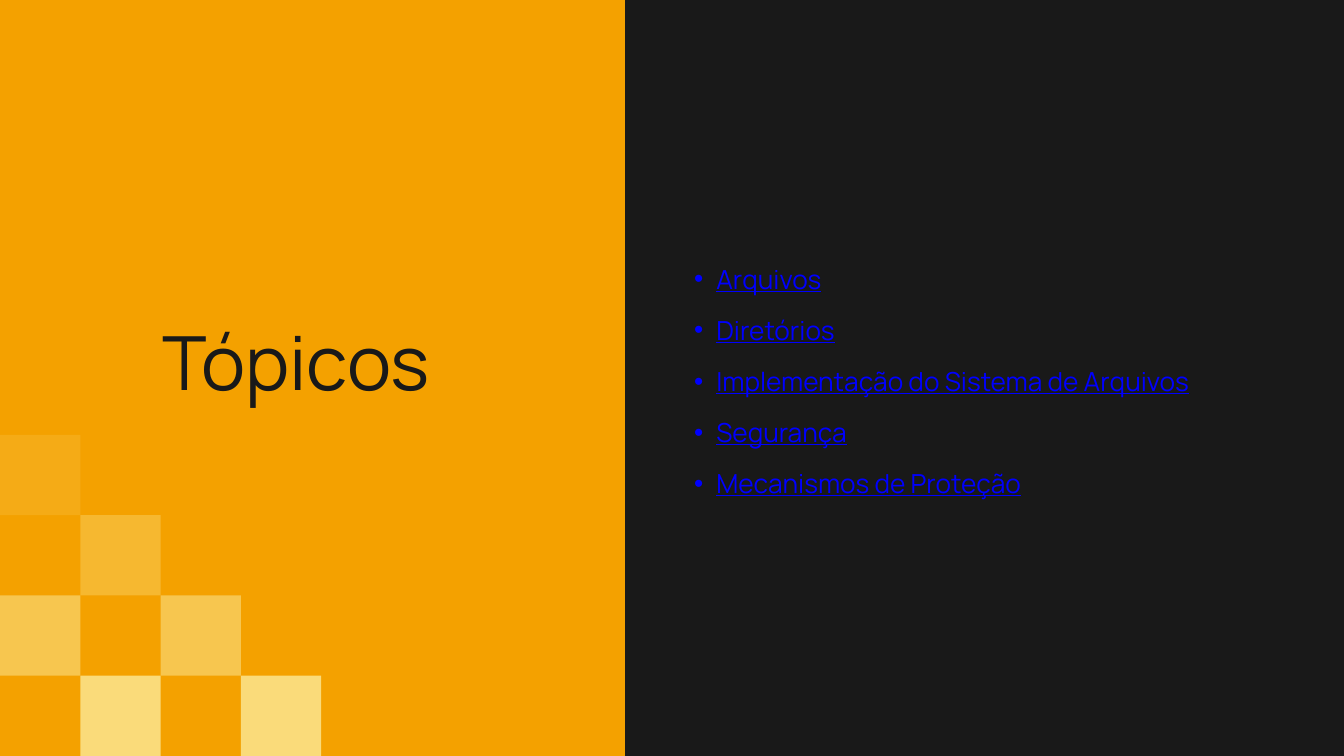
from lxml import etree
from pptx import Presentation
from pptx import util as u
from pptx.dml.color import RGBColor
from pptx.enum import shapes, text
from pptx.oxml import ns

THEME = {
    "dark": RGBColor.from_string("191919"),
    "amber": RGBColor.from_string("F4A100"),
    "pale": RGBColor.from_string("FADB7A"),
    "link": RGBColor.from_string("0000FF"),
    "font": "Manrope",
    "title": u.Pt(80),
    "item": u.Pt(28.1),
}
WIDE, HIGH, PANEL = 20, 11.25, 9.3


def block(left, top, width, height, color, alpha=100):
    """Add a plain rectangle, with its opacity in percent."""
    rect = slide.shapes.add_shape(
        shapes.MSO_SHAPE.RECTANGLE,
        u.Inches(left), u.Inches(top), u.Inches(width), u.Inches(height))
    rect.shadow.inherit = False
    rect.line.fill.background()
    rect.fill.solid()
    rect.fill.fore_color.rgb = color
    if alpha < 100:
        tint = rect.fill._xPr.find(".//" + ns.qn("a:srgbClr"))
        etree.SubElement(tint, ns.qn("a:alpha"), val=str(alpha * 1000))


def style(box, size, color, lead):
    """Set the frame and type of a text box."""
    frame = box.text_frame
    frame.margin_left = frame.margin_right = 0
    frame.margin_top = frame.margin_bottom = 0
    frame.word_wrap = True
    frame.auto_size = text.MSO_AUTO_SIZE.SHAPE_TO_FIT_TEXT
    frame.vertical_anchor = text.MSO_ANCHOR.TOP
    for para in frame.paragraphs:
        para.line_spacing = u.Pt(lead)
        for run in para.runs:
            run.font.name = THEME["font"]
            run.font.size = size
            run.font.color.rgb = color


# Slide and background
prs = Presentation()
prs.slide_width, prs.slide_height = u.Inches(WIDE), u.Inches(HIGH)
slide = prs.slides.add_slide(prs.slide_layouts[5])
slide.background.fill.solid()
slide.background.fill.fore_color.rgb = THEME["dark"]

# Left panel
block(0, 0, PANEL, HIGH, THEME["amber"])

# Checkered stairs, fading upwards
cell = 4.78 / 4
for row, alpha in enumerate([19, 40, 65, 100]):
    for col in range(row % 2, row + 1, 2):
        block(col * cell, HIGH - (4 - row) * cell, cell, cell,
              THEME["pale"], alpha)

# Title, brought in front of the panel
title = slide.shapes.title
title.element.getparent().append(title.element)
title.left, title.top = u.Inches(2.18), u.Inches(4.7)
title.width, title.height = u.Inches(4.46), u.Inches(1.43)
title.text_frame.text = "Tópicos"
style(title, THEME["title"], THEME["dark"], 96)
title.text_frame.paragraphs[0].alignment = text.PP_ALIGN.CENTER

# Topic list
topics = ["Arquivos", "Diretórios", "Implementação do Sistema de Arquivos",
          "Segurança", "Mecanismos de Proteção"]
items = slide.shapes.add_textbox(
    u.Inches(10), u.Inches(3.62), u.Inches(8.63), u.Inches(3.76))
items.text_frame.text = "\n".join(topics)
for para in items.text_frame.paragraphs:
    para.level = 1
    props = para._p.get_or_add_pPr()
    props.set("marL", str(u.Inches(0.66)))
    props.set("indent", str(u.Inches(-0.33)))
    etree.SubElement(props, ns.qn("a:buFont"), typeface="Arial")
    etree.SubElement(props, ns.qn("a:buChar"), char="•")
    para.runs[0].font.underline = True
style(items, THEME["item"], THEME["link"], 54.8)

prs.save("out.pptx")
